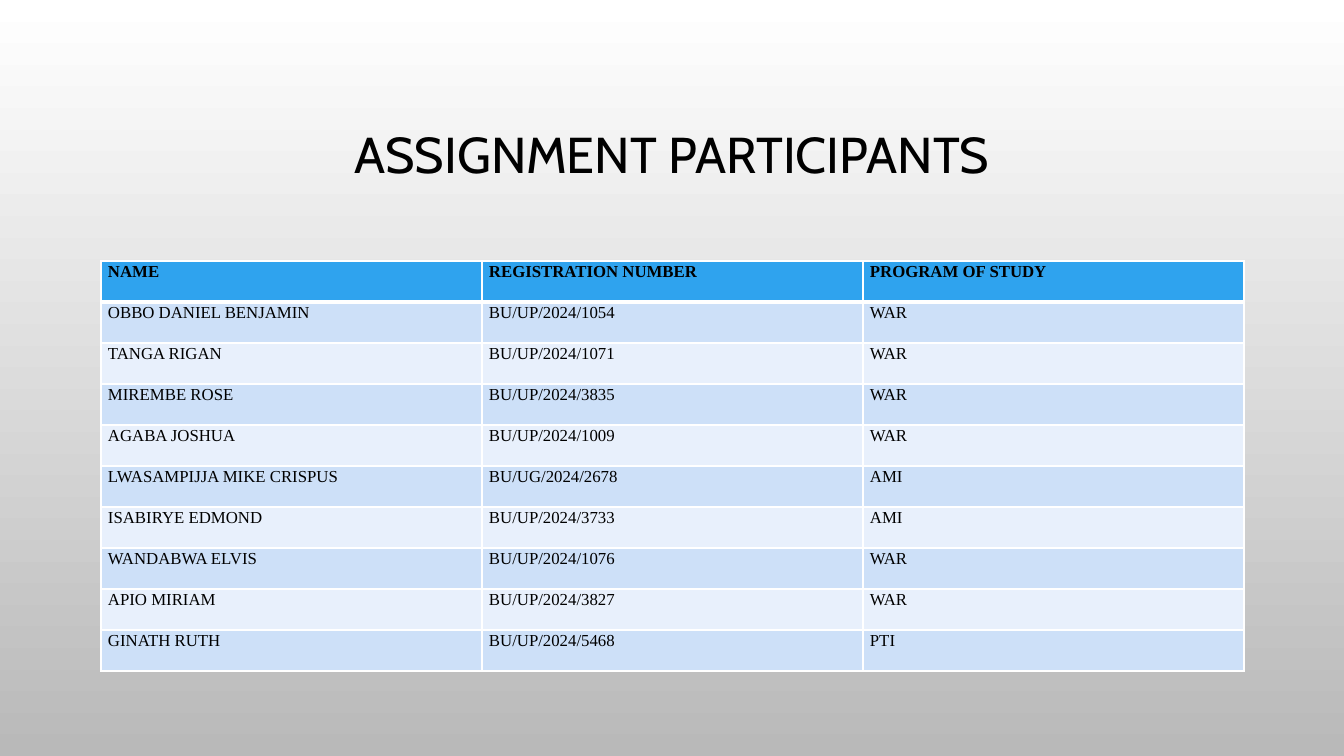
"""Build the slide that lists the assignment participants."""
from typing import NamedTuple

from lxml import etree
from pptx import Presentation
from pptx import util as u
from pptx.dml.color import RGBColor
from pptx.enum import text as t
from pptx.oxml import ns

SLIDE_WIDTH, SLIDE_HEIGHT = 1344, 756
EMU_PER_PX = 12192000 / SLIDE_WIDTH

BLACK = RGBColor(0x00, 0x00, 0x00)
WHITE = RGBColor(0xFF, 0xFF, 0xFF)
GREY = RGBColor(0xB9, 0xB9, 0xB9)
HEADER_BLUE = RGBColor(0x2F, 0xA3, 0xEE)
BAND_COLORS = (RGBColor(0xCD, 0xE0, 0xF8), RGBColor(0xE8, 0xF0, 0xFC))


class Box(NamedTuple):
    left: int
    top: int
    width: int
    height: int


class Participant(NamedTuple):
    name: str
    registration: str
    program: str


TITLE_BOX = Box(101, 69, 1142, 176)
TABLE_BOX = Box(101, 261, 1143, 410)
CELL_MARGIN = 7
HEADER = Participant("NAME", "REGISTRATION NUMBER", "PROGRAM OF STUDY")
PARTICIPANTS = (
    Participant("OBBO DANIEL BENJAMIN", "BU/UP/2024/1054", "WAR"),
    Participant("TANGA RIGAN", "BU/UP/2024/1071", "WAR"),
    Participant("MIREMBE ROSE", "BU/UP/2024/3835", "WAR"),
    Participant("AGABA JOSHUA", "BU/UP/2024/1009", "WAR"),
    Participant("LWASAMPIJJA MIKE CRISPUS", "BU/UG/2024/2678", "AMI"),
    Participant("ISABIRYE EDMOND", "BU/UP/2024/3733", "AMI"),
    Participant("WANDABWA ELVIS", "BU/UP/2024/1076", "WAR"),
    Participant("APIO MIRIAM", "BU/UP/2024/3827", "WAR"),
    Participant("GINATH RUTH", "BU/UP/2024/5468", "PTI"),
)


def px(length: int) -> u.Emu:
    """Turn whole pixels into EMU."""
    return u.Emu(round(length * EMU_PER_PX))


def write_text(frame, content: str, *, font: str, size: int, bold: bool = False,
               align=t.PP_ALIGN.LEFT, line_spacing: float = 1.0,
               space_after: float = 0) -> None:
    """Write one formatted paragraph into a text frame."""
    frame.word_wrap = True
    paragraph = frame.paragraphs[0]
    paragraph.alignment = align
    paragraph.line_spacing = line_spacing
    paragraph.space_after = u.Pt(space_after)
    run = paragraph.add_run()
    run.text = content
    run.font.name, run.font.size, run.font.bold = font, u.Pt(size), bold
    run.font.color.rgb = BLACK


def set_borders(cell, *, top: int = 1, bottom: int = 1) -> None:
    """Draw white borders, with widths in points, around a table cell."""
    properties = cell._tc.get_or_add_tcPr()
    widths = {"a:lnL": 1, "a:lnR": 1, "a:lnT": top, "a:lnB": bottom}
    for index, (tag, width) in enumerate(widths.items()):
        line = etree.Element(ns.qn(tag), w=str(u.Pt(width)))
        fill = etree.SubElement(line, ns.qn("a:solidFill"))
        etree.SubElement(fill, ns.qn("a:srgbClr"), val=str(WHITE))
        properties.insert(index, line)


def paint_background(slide) -> None:
    """Fill the slide from white at the top to grey at the bottom."""
    fill = slide.background.fill
    fill.gradient()
    fill.gradient_angle = 270
    for stop, position, color in zip(fill.gradient_stops, (0, 1), (WHITE, GREY)):
        stop.position = position
        stop.color.rgb = color


def add_title(slide) -> None:
    """Add the centred slide title."""
    frame = slide.shapes.add_textbox(*map(px, TITLE_BOX)).text_frame
    frame.vertical_anchor = t.MSO_ANCHOR.MIDDLE
    write_text(frame, "ASSIGNMENT PARTICIPANTS", font="Cabin", size=36,
               align=t.PP_ALIGN.CENTER, line_spacing=0.9)


def add_participant_table(slide) -> None:
    """Add the table with its header and banded rows."""
    records = (HEADER, *PARTICIPANTS)
    table = slide.shapes.add_table(len(records), len(HEADER),
                                   *map(px, TABLE_BOX)).table
    for row, record in enumerate(records):
        is_header = row == 0
        color = HEADER_BLUE if is_header else BAND_COLORS[(row - 1) % 2]
        for column, content in enumerate(record):
            cell = table.cell(row, column)
            cell.margin_left = cell.margin_right = px(CELL_MARGIN)
            cell.margin_top = cell.margin_bottom = 0
            cell.fill.solid()
            cell.fill.fore_color.rgb = color
            set_borders(cell, top=3 if row == 1 else 1,
                        bottom=3 if is_header else 1)
            write_text(cell.text_frame, content, font="Times New Roman", size=12,
                       bold=is_header, line_spacing=1.07, space_after=6.5)


def main() -> None:
    """Build and save the presentation."""
    presentation = Presentation()
    presentation.slide_width = px(SLIDE_WIDTH)
    presentation.slide_height = px(SLIDE_HEIGHT)
    slide = presentation.slides.add_slide(presentation.slide_layouts[6])
    paint_background(slide)
    add_title(slide)
    add_participant_table(slide)
    presentation.save("out.pptx")


if __name__ == "__main__":
    main()
